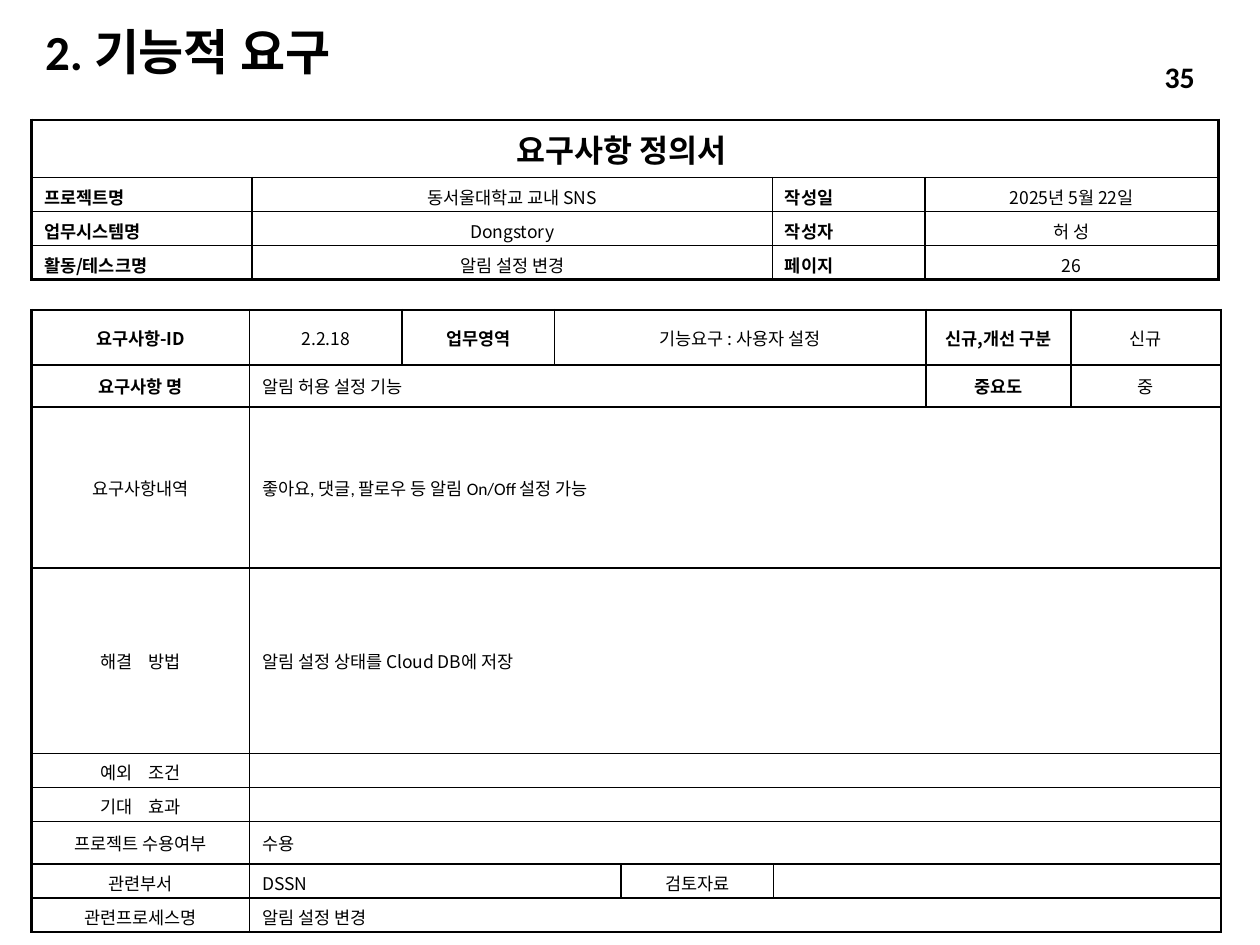
from dataclasses import dataclass
from itertools import accumulate

from lxml import etree
from pptx import Presentation
from pptx import util as u
from pptx.dml.color import RGBColor
from pptx.enum import text
from pptx.oxml import ns

BLACK = RGBColor(0x00, 0x00, 0x00)
KOREAN = "Noto Sans CJK KR"
LATIN = "Calibri"
LEFT, CENTER, RIGHT = text.PP_ALIGN.LEFT, text.PP_ALIGN.CENTER, text.PP_ALIGN.RIGHT
TOP, MIDDLE = text.MSO_ANCHOR.TOP, text.MSO_ANCHOR.MIDDLE
THICK, THIN = 1.5, 1.0
GAP_SPACING = "670"  # hundredths of a point added after a widened space


@dataclass(frozen=True)
class Field:
    words: str = ""
    span: int = 1
    bold: bool = False
    align: text.PP_ALIGN = CENTER
    size: float = 10
    font: str = KOREAN
    wide_gap: bool = False


@dataclass(frozen=True)
class Form:
    left: float
    top: float
    columns: list[float]
    heights: list[float]
    rows: list[list[Field]]
    anchor: text.MSO_ANCHOR
    right_edge: float
    thick_rules: set[int]  # numbers of the horizontal rules, 0 being the top


def heading(words: str, **options) -> Field:
    return Field(words, bold=True, **options)


def entry(words: str = "", span: int = 7, **options) -> Field:
    return Field(words, span, align=LEFT, **options)


HEADER_FORM = Form(
    0.25, 0.95, [1.75, 4.13, 1.21, 2.33], [0.46, 0.27, 0.27, 0.27],
    [[heading("요구사항 정의서 ", span=4, size=18)]] + [
        [heading(name, align=LEFT), Field(value),
         heading(side_name, align=LEFT), Field(side_value)]
        for name, value, side_name, side_value in (
            ("프로젝트명", "동서울대학교 교내 SNS", "작성일", "2025년 5월 22일"),
            ("업무시스템명 ", "Dongstory", "작성자", "허 성"),
            ("활동/테스크명", "알림 설정 변경", "페이지", "26"),
        )
    ],
    TOP, THICK, {0, 4},
)

REQUIREMENT_FORM = Form(
    0.25, 2.46,
    [1.73, 1.21, 1.21, 0.53, 1.21, 1.21, 1.15, 1.19],
    [0.44, 0.33, 1.28, 1.47, 0.27, 0.27, 0.34, 0.27, 0.27],
    [
        [heading("요구사항-ID"), Field("2.2.18"), heading("업무영역"),
         Field("기능요구 : 사용자 설정", span=3),
         heading("신규,개선 구분"), Field("신규")],
        [heading("요구사항 명"), entry("알림 허용 설정 기능", span=5),
         heading("중요도"), Field("중")],
        [Field("요구사항내역"),
         entry("좋아요, 댓글, 팔로우 등 알림 On/Off 설정 가능", font=LATIN)],
        [Field("해결 방법", wide_gap=True), entry("알림 설정 상태를 Cloud DB에 저장")],
        [Field("예외 조건", wide_gap=True), entry()],
        [Field("기대 효과", wide_gap=True), entry()],
        [Field("프로젝트 수용여부"), entry("수용")],
        [Field("관련부서"), entry("DSSN", span=3), Field("검토자료"), entry(span=3)],
        [Field("관련프로세스명"), entry("알림 설정 변경")],
    ],
    MIDDLE, THIN, {0, 1, 2, 9},
)


def add_span(para, words: str, field: Field):
    span = para.add_run()
    span.text = words
    font = span.font
    font.name, font.size, font.bold = field.font, u.Pt(field.size), field.bold
    font.color.rgb = BLACK
    props = span._r.get_or_add_rPr()
    props.find(ns.qn("a:latin")).addnext(
        etree.Element(ns.qn("a:ea"), typeface=KOREAN))
    return span


def write_field(para, field: Field) -> None:
    para.alignment = field.align
    if field.wide_gap:
        first, last = field.words.split()
        add_span(para, first, field)
        gap = add_span(para, " ", field)
        gap._r.get_or_add_rPr().set("spc", GAP_SPACING)
        add_span(para, last, field)
    elif field.words:
        add_span(para, field.words, field)
    else:
        etree.SubElement(para._p, ns.qn("a:endParaRPr"), sz=str(int(field.size * 100)))


def draw_borders(cell, widths: dict[str, float]) -> None:
    props = cell._tc.get_or_add_tcPr()
    for side in "LRTB":
        if side in widths:
            line = etree.SubElement(props, ns.qn(f"a:ln{side}"),
                                    w=str(int(u.Pt(widths[side]))))
            fill = etree.SubElement(line, ns.qn("a:solidFill"))
            etree.SubElement(fill, ns.qn("a:srgbClr"), val=str(BLACK))
    cell.fill.background()


def draw_form(page, form: Form) -> None:
    frame = page.shapes.add_table(
        len(form.heights), len(form.columns), u.Inches(form.left), u.Inches(form.top),
        u.Inches(sum(form.columns)), u.Inches(sum(form.heights)))
    table = frame.table
    table.first_row = table.horz_banding = False
    for column, width in zip(table.columns, form.columns):
        column.width = u.Inches(width)
    for row, height in zip(table.rows, form.heights):
        row.height = u.Inches(height)

    for r, fields in enumerate(form.rows):
        top, bottom = (THICK if rule in form.thick_rules else THIN for rule in (r, r + 1))
        ends = list(accumulate(field.span for field in fields))
        for field, end in zip(fields, ends):
            start = end - field.span
            left = THIN if start else THICK
            right = form.right_edge if end == len(form.columns) else THIN
            cell = table.cell(r, start)
            if field.span > 1:
                cell.merge(table.cell(r, end - 1))
            draw_borders(cell, {"L": left, "R": right, "T": top, "B": bottom})
            for c in range(start + 1, end):
                widths = {"T": top, "B": bottom}
                if c == end - 1:
                    widths["R"] = right
                draw_borders(table.cell(r, c), widths)
            cell.vertical_anchor = MIDDLE if field.size > 10 else form.anchor
            write_field(cell.text_frame.paragraphs[0], field)


def draw_label(page, left: float, top: float, width: float, height: float,
               field: Field, line_spacing: float = 1.0) -> None:
    box = page.shapes.add_textbox(*map(u.Inches, (left, top, width, height)))
    frame = box.text_frame
    frame.word_wrap = True
    frame.vertical_anchor = MIDDLE
    para = frame.paragraphs[0]
    para.line_spacing = line_spacing
    write_field(para, field)


def main() -> None:
    deck = Presentation()
    deck.slide_width, deck.slide_height = u.Inches(10), u.Inches(7.5)
    page = deck.slides.add_slide(deck.slide_layouts[6])
    draw_label(page, 0.26, 0.21, 5.36, 0.44,
               heading("2. 기능적 요구", align=LEFT, size=28, font=LATIN), 0.9)
    draw_form(page, REQUIREMENT_FORM)
    draw_form(page, HEADER_FORM)
    draw_label(page, 7.96, 0.41, 1.62, 0.4,
               heading("35", align=RIGHT, size=17, font=LATIN))
    deck.save("out.pptx")


if __name__ == "__main__":
    main()
